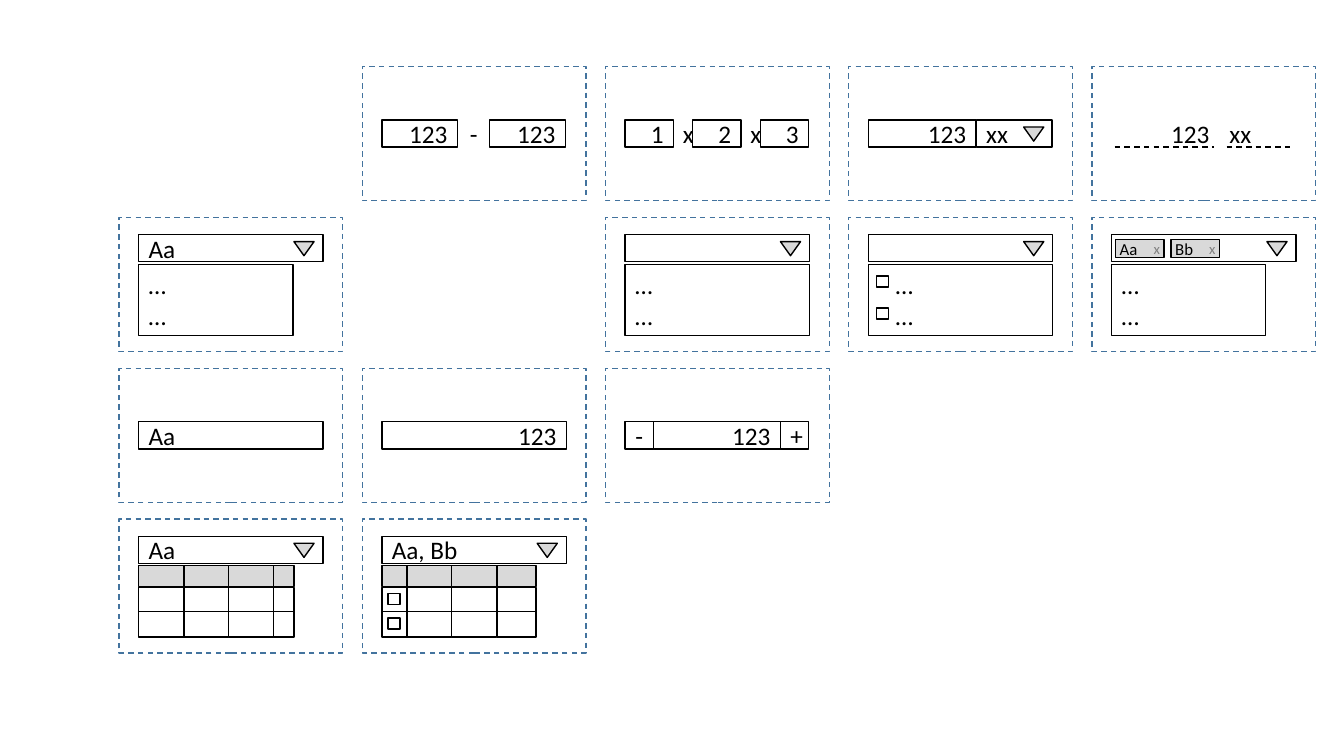
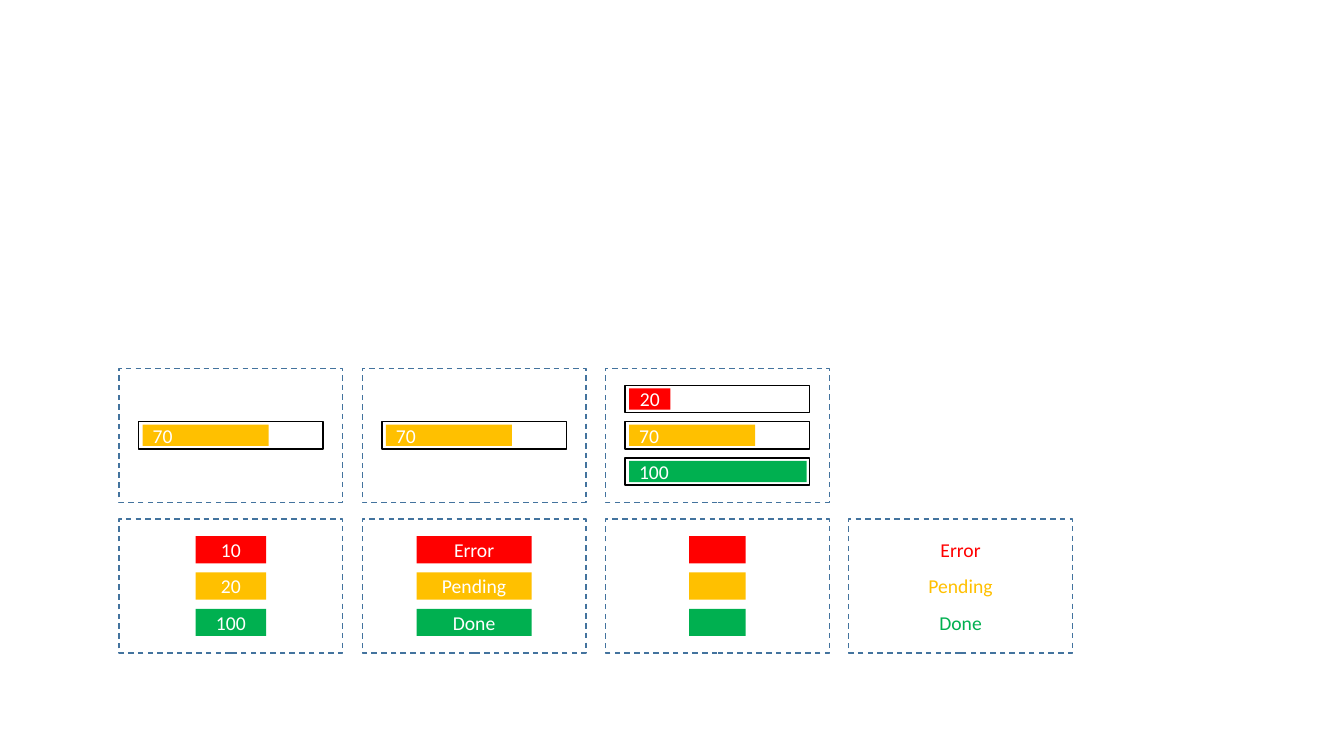
"""Build two slides of wireframe cards: input controls and status indicators."""
import dataclasses
import functools
import itertools

import lxml.etree
import pptx
import pptx.dml.color
import pptx.enum.dml
import pptx.enum.shapes
import pptx.enum.text
import pptx.oxml.ns
import pptx.util

Inches = pptx.util.Inches
ALIGN = pptx.enum.text.PP_ALIGN
SHAPE = pptx.enum.shapes.MSO_SHAPE
DASH = pptx.enum.dml.MSO_LINE.DASH


@dataclasses.dataclass(frozen=True)
class Theme:
    """Colours, font and type sizes shared by both slides."""
    font: str = "Calibri"
    ink: str = "000000"
    paper: str = "FFFFFF"
    frame: str = "43739E"
    shade: str = "D9D9D9"
    muted: str = "808080"
    error: str = "FF0000"
    pending: str = "FFC000"
    done: str = "00B050"
    field_size: float = 18
    status_size: float = 14
    tag_size: float = 12
    close_size: float = 10.5


@dataclasses.dataclass(frozen=True)
class Box:
    """A rectangle in inches."""
    left: float
    top: float
    width: float
    height: float

    def inset(self, left, top, width, height):
        """Return a box placed relative to this one."""
        return Box(self.left + left, self.top + top, width, height)

    def lane(self, index):
        """Return one of the three field-high lanes of a card."""
        return self.inset(0, index * LANE_STEP, self.width, FIELD_HEIGHT)

    def lengths(self):
        """Return the four sides as lengths."""
        return [Inches(side) for side in dataclasses.astuple(self)]


THEME = Theme()
CARD = Box(1.18, 0.66, 2.22, 1.33)
COLUMN_STEP, ROW_STEP = 9.65 / 4, 4.49 / 3
FIELD_WIDTH, FIELD_HEIGHT, LANE_STEP = 1.83, 0.27, 0.36
STATES = (THEME.error, THEME.pending, THEME.done)


def rgb(color):
    """Turn a hex string into a colour."""
    return pptx.dml.color.RGBColor.from_string(color)


def set_line(line, color, width=1, dash=None):
    """Give a line its colour, width and dash."""
    line.color.rgb = rgb(color)
    for name, value in {"width": pptx.util.Pt(width), "dash_style": dash}.items():
        setattr(line, name, value)


def write(frame, text, size, color, align, **layout):
    """Fill a text frame with one paragraph per line of text."""
    for name, value in layout.items():
        setattr(frame, name, value)
    frame.text = text
    for para in frame.paragraphs:
        para.alignment = align
        for span in para.runs:
            span.font.color.rgb = rgb(color)
            for name, value in {"name": THEME.font, "size": pptx.util.Pt(size)}.items():
                setattr(span.font, name, value)


def block(page, box, text="", fill=THEME.paper, line=THEME.ink, dash=None,
          size=THEME.field_size, color=THEME.ink, align=ALIGN.LEFT,
          kind=SHAPE.RECTANGLE, **layout):
    """Draw a shape with optional fill, outline and text."""
    shape = page.shapes.add_shape(kind, *box.lengths())
    shape.shadow.inherit = False
    if fill:
        shape.fill.solid()
        shape.fill.fore_color.rgb = rgb(fill)
    else:
        shape.fill.background()
    if line:
        set_line(shape.line, line, dash=dash)
    else:
        shape.line.fill.background()
    if text:
        write(shape.text_frame, text, size, color, align, **layout)
    return shape


def rule(page, box, width=1, dash=None):
    """Draw a horizontal line along the top of a box."""
    left, top, span, _ = box.lengths()
    line = page.shapes.add_connector(
        pptx.enum.shapes.MSO_CONNECTOR.STRAIGHT, left, top, left + span, top)
    set_line(line.line, THEME.ink, width, dash)
    lxml.etree.SubElement(line._element.spPr, pptx.oxml.ns.qn("a:effectLst"))


def card(page, column, row):
    """Draw a dashed card and return its content box."""
    box = CARD.inset(column * COLUMN_STEP, row * ROW_STEP, CARD.width, CARD.height)
    box = Box(box.left - 0, box.top, CARD.width, CARD.height)
    block(page, box, line=THEME.frame, dash=DASH)
    return box.inset((CARD.width - FIELD_WIDTH) / 2, 0.17, FIELD_WIDTH, 1)


def arrow(page, field):
    """Draw the drop-down arrow of a field."""
    triangle = block(page, field.inset(1.54, 0.07, 0.2, 0.14), fill=THEME.shade,
                     kind=SHAPE.ISOSCELES_TRIANGLE)
    triangle.rotation = 180


def checkbox(page, box, left, top):
    """Draw an empty checkbox."""
    block(page, box.inset(left, top, 0.12, 0.11), fill=None)


def dropdown(page, box, text=""):
    """Draw a field with a drop-down arrow."""
    block(page, box.lane(0), text)
    arrow(page, box.lane(0))


def choice_list(page, box, text="", width=FIELD_WIDTH, checked=False):
    """Draw a drop-down with its open list."""
    dropdown(page, box, text)
    block(page, box.inset(0, 0.3, width, 0.7), "…\n…",
          margin_left=Inches(0.27 if checked else 0.1))
    if checked:
        for top in (0.41, 0.73):
            checkbox(page, box, 0.08, top)


def tag_list(page, box):
    """Draw a drop-down list whose field holds removable tags."""
    choice_list(page, box, width=1.53)
    for index, name in enumerate(("Aa", "Bb")):
        tag = box.inset(0.04 + index * 0.55, 0.05, 0.48, 0.18)
        block(page, tag, name, fill=THEME.shade, size=THEME.tag_size,
              margin_left=Inches(0.04))
        close = page.shapes.add_textbox(*tag.inset(0.28, -0.05, 0.27, 0.29).lengths())
        write(close.text_frame, "x", THEME.close_size, THEME.muted, ALIGN.LEFT,
              word_wrap=False, auto_size=pptx.enum.text.MSO_AUTO_SIZE.SHAPE_TO_FIT_TEXT)


def grid_list(page, box, text, widths, checked=False):
    """Draw a drop-down with an open grid of two rows."""
    dropdown(page, box, text)
    lefts = itertools.accumulate(widths, initial=0)
    for left, width in zip(lefts, widths):
        block(page, box.inset(left, 0.51, width, 0.49))
        block(page, box.inset(left, 0.29, width, 0.21), fill=THEME.shade)
    rule(page, box.inset(0, 0.75, sum(widths), 0), width=0.5)
    if checked:
        for top in (0.57, 0.81):
            checkbox(page, box, 0.06, top)


def single_field(page, box, text, align=ALIGN.LEFT):
    """Draw one plain field."""
    block(page, box.lane(1), text, align=align)


def joined_fields(page, box, texts, widths, signs=""):
    """Draw number fields side by side, with signs as borderless gaps."""
    lefts = itertools.accumulate(widths, initial=0)
    fields = [(text, box.lane(1).inset(left, 0, width, FIELD_HEIGHT))
              for text, left, width in zip(texts, lefts, widths)]
    for text, field in fields:
        if text in signs:
            block(page, field, text, line=None, align=ALIGN.CENTER)
    for text, field in fields:
        if text not in signs:
            block(page, field, text, align=ALIGN.RIGHT if text.isdigit() else ALIGN.CENTER)


def unit_field(page, box, editable):
    """Draw a number with its unit, boxed or underlined."""
    lane = box.lane(1)
    line = THEME.ink if editable else THEME.paper
    block(page, lane.inset(1.07, 0, 0.75, FIELD_HEIGHT), "xx", line=line)
    block(page, lane.inset(0, 0, 1.07, FIELD_HEIGHT), "123", line=line, align=ALIGN.RIGHT)
    if editable:
        arrow(page, lane)
    else:
        for left, width in ((0.03, 0.99), (1.14, 0.67)):
            rule(page, lane.inset(left, FIELD_HEIGHT, width, 0), dash=DASH)


def progress(page, box, bars):
    """Draw progress bars given as lane, text, width, colour and alignment."""
    for lane, text, width, color, align in bars:
        field = box.lane(lane)
        block(page, field)
        block(page, field.inset(0.04, 0.03, width, 0.21), text, fill=color, line=None,
              size=THEME.status_size, color=THEME.paper, align=align)


def badges(page, box, texts, width, filled=True):
    """Draw three centred status badges."""
    for index, (text, state) in enumerate(zip(texts, STATES)):
        badge = box.lane(index).inset((box.width - width) / 2, 0, width, FIELD_HEIGHT)
        fill, color = (state, THEME.paper) if filled else (THEME.paper, state)
        block(page, badge, text, fill=fill, line=None, color=color,
              size=THEME.status_size, align=ALIGN.CENTER)


def build_page(deck, cards):
    """Add a slide and draw each card at its column and row."""
    page = deck.slides.add_slide(deck.slide_layouts[6])
    for column, row, draw in cards:
        draw(page, card(page, column, row))


def main():
    """Build and save the deck."""
    use = functools.partial
    deck = pptx.Presentation()
    for name, value in {"slide_width": 13.33, "slide_height": 7.5}.items():
        setattr(deck, name, Inches(value))
    build_page(deck, [
        (1, 0, use(joined_fields, texts=("123", "-", "123"),
                   widths=(0.75, 0.32, 0.75), signs="-")),
        (2, 0, use(joined_fields, texts=("1", "x", "2", "x", "3"),
                   widths=(0.48, 0.19, 0.48, 0.19, 0.48), signs="x")),
        (3, 0, use(unit_field, editable=True)),
        (4, 0, use(unit_field, editable=False)),
        (0, 1, use(choice_list, text="Aa", width=1.53)),
        (2, 1, choice_list),
        (3, 1, use(choice_list, checked=True)),
        (4, 1, tag_list),
        (0, 2, use(single_field, text="Aa")),
        (1, 2, use(single_field, text="123", align=ALIGN.RIGHT)),
        (2, 2, use(joined_fields, texts=("-", "123", "+"), widths=(0.28, 1.26, 0.28))),
        (0, 3, use(grid_list, text="Aa", widths=(0.45, 0.44, 0.45, 0.2))),
        (1, 3, use(grid_list, text="Aa, Bb", widths=(0.25, 0.44, 0.45, 0.39), checked=True)),
    ])
    middle = (1, "70", 1.25, THEME.pending, ALIGN.LEFT)
    low = (0, "20", 0.41, THEME.error, ALIGN.CENTER)
    full = (2, "100", 1.76, THEME.done, ALIGN.LEFT)
    words = ("Error", "Pending", "Done")
    build_page(deck, [
        (0, 2, use(progress, bars=[middle])),
        (1, 2, use(progress, bars=[middle])),
        (2, 2, use(progress, bars=[middle, low, full])),
        (0, 3, use(badges, texts=("10", "20", "100"), width=0.7)),
        (1, 3, use(badges, texts=words, width=1.14)),
        (2, 3, use(badges, texts=("", "", ""), width=0.56)),
        (3, 3, use(badges, texts=words, width=1.14, filled=False)),
    ])
    deck.save("out.pptx")


main()
